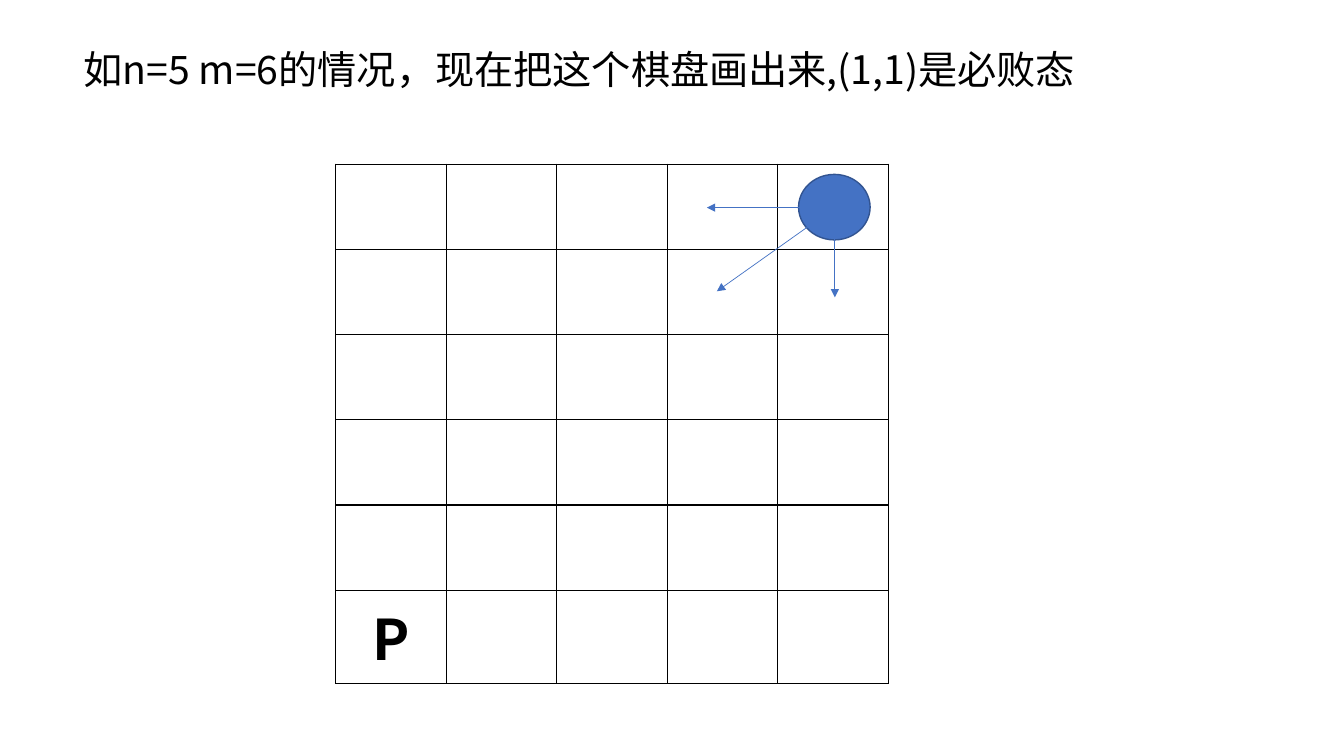
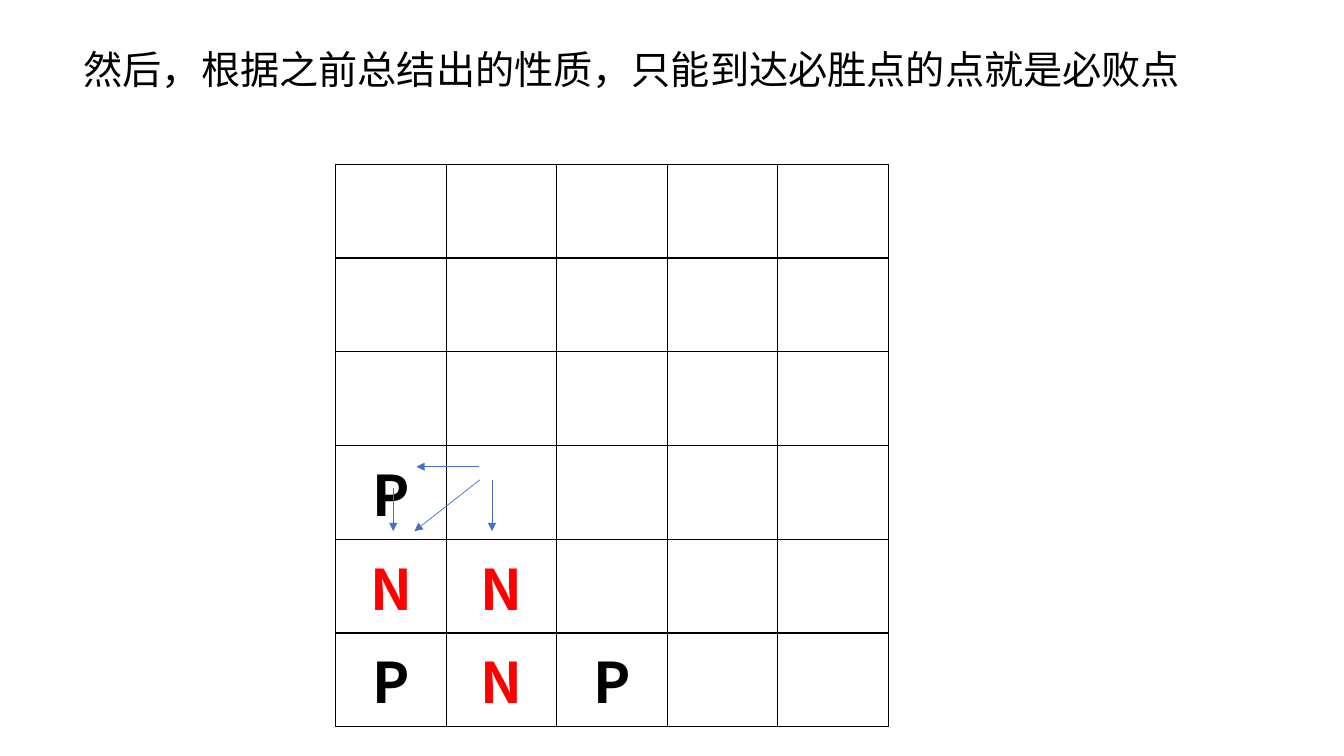
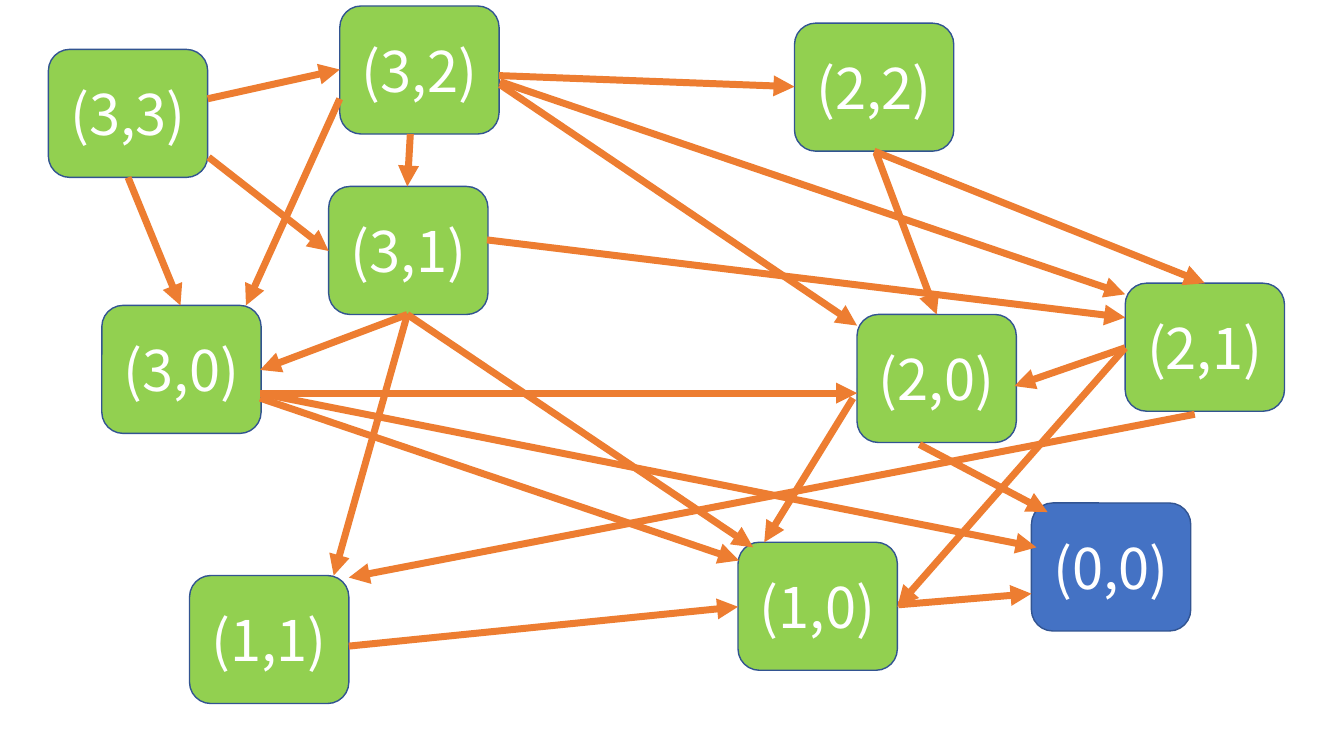
from lxml import etree
from pptx import Presentation
from pptx import util as u
from pptx.dml.color import RGBColor
from pptx.enum import shapes, text
from pptx.oxml.ns import qn


class Theme:
    font = "Noto Sans CJK SC"
    black = RGBColor(0x00, 0x00, 0x00)
    white = RGBColor(0xFF, 0xFF, 0xFF)
    red = RGBColor(0xFF, 0x00, 0x00)
    blue = RGBColor(0x44, 0x72, 0xC4)
    outline = RGBColor(0x32, 0x54, 0x91)
    green = RGBColor(0x92, 0xD0, 0x50)
    orange = RGBColor(0xED, 0x7D, 0x31)
    title_size = u.Pt(28)
    label_size = u.Pt(40)
    hairline = u.Pt(0.5)
    thin = u.Pt(1)
    thick = u.Pt(5)


PX = 9144  # EMU per px, 100 px to the inch


def style(p, size, color, bold=False, align=text.PP_ALIGN.CENTER):
    p.alignment = align
    p.font.size, p.font.bold, p.font.name = size, bold, Theme.font
    p.font.color.rgb = color
    props = p._p.pPr.find(qn("a:defRPr"))
    etree.SubElement(props, qn("a:ea"), typeface=Theme.font)


def arrow(s, ends, color, width):
    line = s.shapes.add_connector(shapes.MSO_CONNECTOR.STRAIGHT, *(v * PX for v in ends))
    line.line.color.rgb = color
    line.line.width = width
    etree.SubElement(line.line._get_or_add_ln(), qn("a:tailEnd"), type="triangle")
    etree.SubElement(line._element.spPr, qn("a:effectLst"))


prs = Presentation()
prs.slide_width, prs.slide_height = 1333 * PX, 750 * PX
TITLE_ONLY, BLANK = prs.slide_layouts[5], prs.slide_layouts[6]

# Chessboards: title, board height, marks by (row, column), moves
ROWS, COLS = 6, 5
PIECE = (792, 173, 71, 65)
boards = [
    ("如n=5 m=6的情况，现在把这个棋盘画出来,(1,1)是必败态", 507,
     {(5, 0): "P"},
     [(828, 206, 701, 206), (828, 206, 711, 289), (828, 206, 828, 295)]),
    ("然后，根据之前总结出的性质，只能到达必胜点的点就是必败点", 558,
     {(3, 0): "P", (4, 0): "N", (4, 1): "N", (5, 0): "P", (5, 1): "N", (5, 2): "P"},
     [(390, 484, 390, 527), (476, 476, 411, 527),
      (475, 463, 413, 463), (488, 476, 488, 527)]),
]
mark_colors = {"P": Theme.black, "N": Theme.red}

for number, (title, height, marks, moves) in enumerate(boards):
    s = prs.slides.add_slide(TITLE_ONLY)
    sp = s.shapes.title
    sp.left, sp.top, sp.width, sp.height = 73 * PX, 45 * PX, 1169 * PX, 59 * PX
    tf = sp.text_frame
    tf.text = title
    tf.word_wrap = True
    tf.auto_size = text.MSO_AUTO_SIZE.NONE
    tf.vertical_anchor = text.MSO_ANCHOR.TOP
    p = tf.paragraphs[0]
    p.line_spacing, p.space_before = 0.9, u.Pt(10)
    style(p, Theme.title_size, Theme.black, align=text.PP_ALIGN.LEFT)

    board = s.shapes.add_table(ROWS, COLS, 333 * PX, 163 * PX, 548 * PX, height * PX).table
    board.first_row = board.horz_banding = False
    for row in range(ROWS):
        for col in range(COLS):
            cell = board.cell(row, col)
            cell.margin_left = cell.margin_right = 13 * PX
            cell.margin_top = cell.margin_bottom = 6 * PX
            tcPr = cell._tc.get_or_add_tcPr()
            for side in ("lnL", "lnR", "lnT", "lnB"):
                border = etree.SubElement(tcPr, qn(f"a:{side}"), w=str(int(Theme.thin)))
                fill = etree.SubElement(border, qn("a:solidFill"))
                etree.SubElement(fill, qn("a:srgbClr"), val=str(Theme.black))
            cell.fill.background()
            if (row, col) in marks:
                mark = marks[row, col]
                cell.text = mark
                style(cell.text_frame.paragraphs[0], Theme.label_size, mark_colors[mark], bold=True)

    if number == 0:
        piece = s.shapes.add_shape(shapes.MSO_SHAPE.OVAL, *(v * PX for v in PIECE))
        piece.shadow.inherit = False
        piece.fill.solid()
        piece.fill.fore_color.rgb = Theme.blue
        piece.line.color.rgb = Theme.outline
        piece.line.width = Theme.thin
    for move in moves:
        arrow(s, move, Theme.blue, Theme.hairline)

# State graph
states = {
    "(3,3)": (48, 49), "(3,2)": (337, 6), "(3,1)": (326, 185), "(3,0)": (101, 303),
    "(2,2)": (788, 23), "(2,1)": (1116, 281), "(2,0)": (850, 312),
    "(1,1)": (188, 571), "(1,0)": (732, 538), "(0,0)": (1023, 499),
}
transitions = [
    (127, 176, 179, 303), (207, 156, 326, 249), (206, 98, 337, 69),
    (337, 98, 244, 303), (407, 133, 404, 185), (404, 312, 258, 367),
    (258, 390, 850, 390), (258, 395, 733, 556), (262, 391, 1028, 543),
    (404, 312, 331, 571), (483, 238, 1116, 315), (495, 75, 788, 86),
    (404, 312, 747, 543), (496, 81, 1116, 292), (496, 84, 850, 323),
    (869, 152, 929, 312), (867, 150, 1195, 281), (1185, 411, 346, 573),
    (1116, 345, 1006, 383), (346, 641, 732, 602), (1116, 345, 890, 602),
    (846, 395, 758, 538), (912, 441, 1039, 508), (891, 600, 1023, 589),
]
s = prs.slides.add_slide(BLANK)
for state, (left, top) in states.items():
    sp = s.shapes.add_shape(shapes.MSO_SHAPE.ROUNDED_RECTANGLE,
                            left * PX, top * PX, 158 * PX, 127 * PX)
    sp.shadow.inherit = False
    sp.fill.solid()
    sp.fill.fore_color.rgb = Theme.blue if state == "(0,0)" else Theme.green
    sp.line.color.rgb = Theme.outline
    sp.line.width = Theme.thin
    tf = sp.text_frame
    tf.text = state
    tf.vertical_anchor = text.MSO_ANCHOR.MIDDLE
    style(tf.paragraphs[0], Theme.label_size, Theme.white)
for transition in transitions:
    arrow(s, transition, Theme.orange, Theme.thick)

prs.save("out.pptx")
